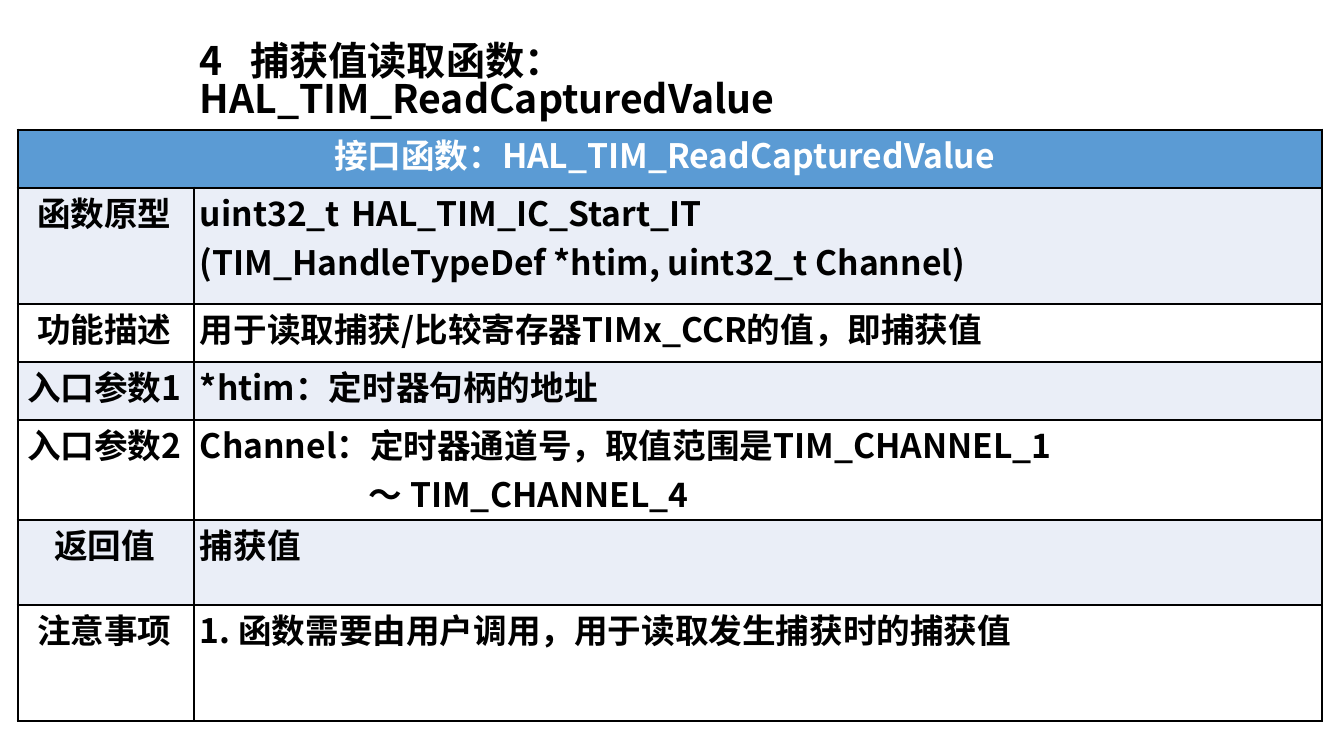
from lxml import etree
from pptx import Presentation
from pptx import util as u
from pptx.dml.color import RGBColor
from pptx.enum import text
from pptx.oxml.ns import qn

THEME = {
    "font": "Noto Sans CJK SC",
    "title": 28, "cell": 24, "border": 2.25,
    "ink": "000000", "light": "FFFFFF", "header": "5B9BD4", "band": "EAEEF7",
}
SCALE = 914400 / 100.8
MARGINS = ("margin_left", "margin_top", "margin_right", "margin_bottom")


def px(length):
    return u.Emu(round(length * SCALE))


def write(para, words, size, color, left, hang=0, tab=0):
    props = para._p.get_or_add_pPr()
    props.set("marL", str(px(left)))
    props.set("indent", str(px(hang)))
    if tab:
        tabs = etree.SubElement(props, qn("a:tabLst"))
        etree.SubElement(tabs, qn("a:tab"), pos=str(px(tab)), algn="l")
    para.alignment = text.PP_ALIGN.LEFT
    span = para.add_run()
    span.text = words
    style = {"name": THEME["font"], "size": u.Pt(THEME[size]), "bold": True}
    for name, value in style.items():
        setattr(span.font, name, value)
    span.font.color.rgb = RGBColor.from_string(THEME[color])
    etree.SubElement(span._r.rPr, qn("a:ea"), typeface=THEME["font"])


deck = Presentation()
deck.slide_width, deck.slide_height = px(1344), px(756)
page = deck.slides.add_slide(deck.slide_layouts[5])

title = page.shapes.title
for name, value in {"left": 199, "top": 62, "width": 946, "height": 42}.items():
    setattr(title, name, px(value))
frame = title.text_frame
for name, value in zip(MARGINS, (0, 0, 100, 0)):
    setattr(frame, name, px(value))
frame.word_wrap = True
frame.auto_size = text.MSO_AUTO_SIZE.NONE
frame.vertical_anchor = text.MSO_ANCHOR.MIDDLE
write(frame.paragraphs[0], "4\t捕获值读取函数：HAL_TIM_ReadCapturedValue", "title", "ink", 1, tab=49)
frame.paragraphs[0].line_spacing = 0.82

columns = (176, 1128)
heights = (58, 116, 58, 58, 100, 85, 116)
entries = [
    ("函数原型", 19, ["uint32_t\tHAL_TIM_IC_Start_IT",
                  "(TIM_HandleTypeDef *htim, uint32_t Channel)"]),
    ("功能描述", 19, ["用于读取捕获/比较寄存器TIMx_CCR的值，即捕获值"]),
    ("入口参数1", 9, ["*htim：定时器句柄的地址"]),
    ("入口参数2", 9, ["Channel：定时器通道号，取值范围是TIM_CHANNEL_1～ TIM_CHANNEL_4"]),
    ("返回值", 36, ["捕获值"]),
    ("注意事项", 19, ["1. 函数需要由用户调用，用于读取发生捕获时的捕获值"]),
]
table = page.shapes.add_table(len(heights), len(columns), px(18), px(130),
                              px(sum(columns)), px(sum(heights))).table
for column, width in zip(table.columns, columns):
    column.width = px(width)
for row, height in zip(table.rows, heights):
    row.height = px(height)

for index, row in enumerate(table.rows):
    for cell in row.cells:
        for name in MARGINS:
            setattr(cell, name, 0)
        props = cell._tc.get_or_add_tcPr()
        for side in ("lnL", "lnR", "lnT", "lnB"):
            line = etree.SubElement(props, qn(f"a:{side}"), w=str(u.Pt(THEME["border"])))
            fill = etree.SubElement(line, qn("a:solidFill"))
            etree.SubElement(fill, qn("a:srgbClr"), val=THEME["ink"])
        if index % 2 or index == 0 or index == 5:
            cell.fill.solid()
            shade = "band" if index else "header"
            cell.fill.fore_color.rgb = RGBColor.from_string(THEME[shade])
        else:
            cell.fill.background()

header = table.cell(0, 0)
header.merge(table.cell(0, 1))
write(header.text_frame.paragraphs[0], "接口函数：HAL_TIM_ReadCapturedValue", "cell", "light", 316)

for index, (label, indent, lines) in enumerate(entries, start=1):
    write(table.cell(index, 0).text_frame.paragraphs[0], label, "cell", "ink", indent)
    frame = table.cell(index, 1).text_frame
    for number, words in enumerate(lines):
        para = frame.add_paragraph() if number else frame.paragraphs[0]
        left, hang = (175, -169) if "～" in words else (6, 0)
        write(para, words, "cell", "ink", left, hang, 163 if "\t" in words else 0)
table.cell(4, 1).margin_right = px(240)

deck.save("out.pptx")
